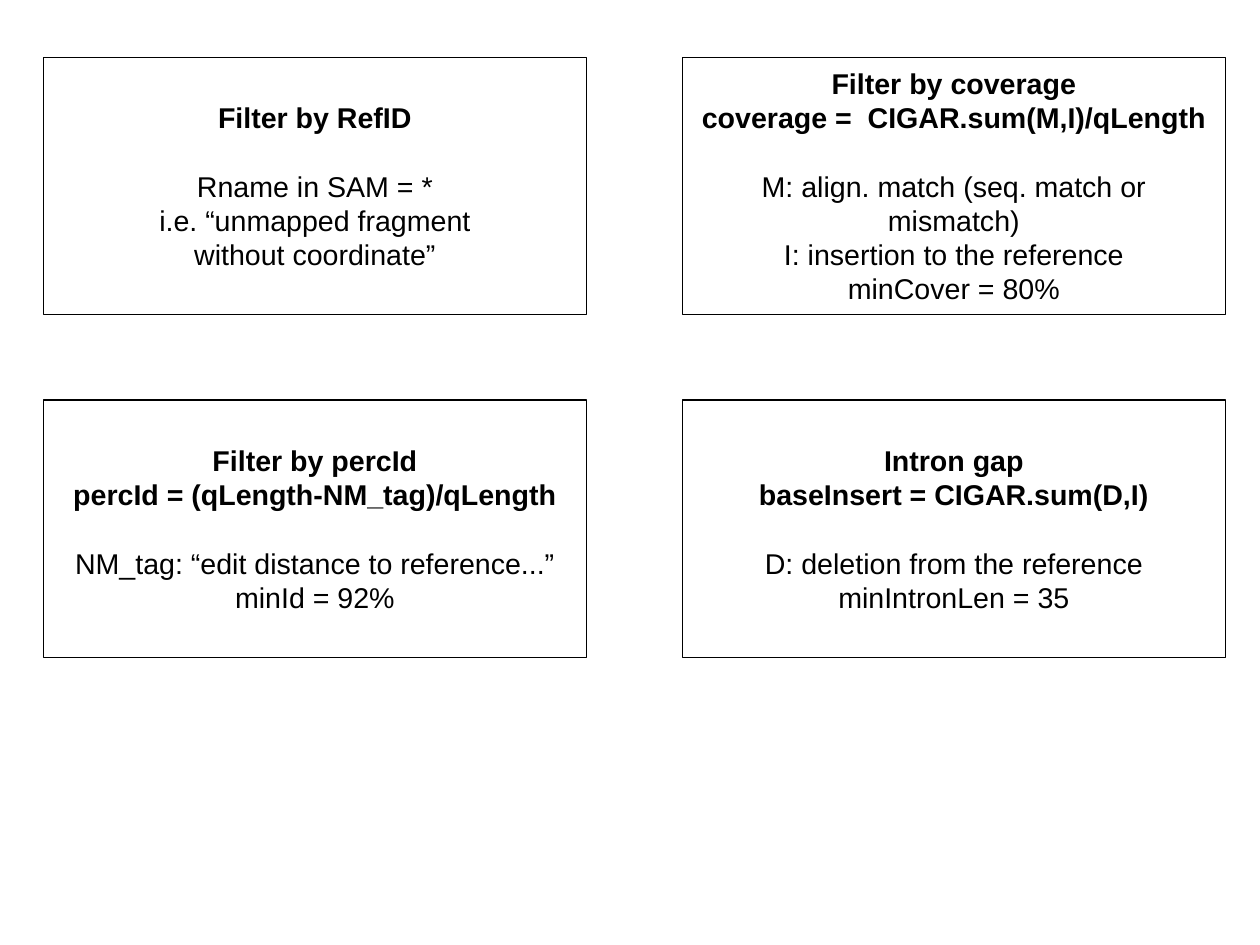
from pptx import Presentation
from pptx.dml.color import RGBColor
from pptx.enum import shapes, text
from pptx.util import Cm, Inches, Pt

BLACK = RGBColor(0x00, 0x00, 0x00)
WHITE = RGBColor(0xFF, 0xFF, 0xFF)

# Rows of the grid; each box has bold heading lines and plain detail lines.
FILTER_ROWS = [
    [
        (["Filter by RefID"],
         ["Rname in SAM = *", "i.e. “unmapped fragment", "without coordinate”"]),
        (["Filter by coverage", "coverage =  CIGAR.sum(M,I)/qLength"],
         ["M: align. match (seq. match or mismatch)",
          "I: insertion to the reference", "minCover = 80%"]),
    ],
    [
        (["Filter by percId", "percId = (qLength-NM_tag)/qLength"],
         ["NM_tag: “edit distance to reference...”", "minId = 92%"]),
        (["Intron gap", "baseInsert = CIGAR.sum(D,I)"],
         ["D: deletion from the reference", "minIntronLen = 35"]),
    ],
]

SLIDE_WIDTH, SLIDE_HEIGHT = Cm(28), Cm(21)
LEFT, TOP = 0.38, 0.5
BOX_WIDTH, BOX_HEIGHT = 4.75, 2.25
COLUMN_STEP, ROW_STEP = 5.59, 3
HEADING_GAP = Pt(21.5)


def add_filter_box(slide, left, top, headings, details):
    shape = slide.shapes.add_shape(
        shapes.MSO_SHAPE.RECTANGLE,
        Inches(left), Inches(top), Inches(BOX_WIDTH), Inches(BOX_HEIGHT))
    shape.shadow.inherit = False
    shape.fill.solid()
    shape.fill.fore_color.rgb = WHITE
    shape.line.color.rgb = BLACK
    shape.line.width = Pt(0)

    frame = shape.text_frame
    frame.word_wrap = True
    frame.vertical_anchor = text.MSO_ANCHOR.MIDDLE
    frame.text = "\n".join(headings + details)
    for index, paragraph in enumerate(frame.paragraphs):
        paragraph.alignment = text.PP_ALIGN.CENTER
        paragraph.font.name = "Arial"
        paragraph.font.size = Pt(18)
        paragraph.font.bold = index < len(headings)
        paragraph.font.color.rgb = BLACK
        if index == len(headings):
            paragraph.space_before = HEADING_GAP


def main():
    presentation = Presentation()
    presentation.slide_width = SLIDE_WIDTH
    presentation.slide_height = SLIDE_HEIGHT
    slide = presentation.slides.add_slide(presentation.slide_layouts[6])
    for row, boxes in enumerate(FILTER_ROWS):
        for column, (headings, details) in enumerate(boxes):
            add_filter_box(slide, LEFT + column * COLUMN_STEP,
                           TOP + row * ROW_STEP, headings, details)
    presentation.save("out.pptx")


if __name__ == "__main__":
    main()
